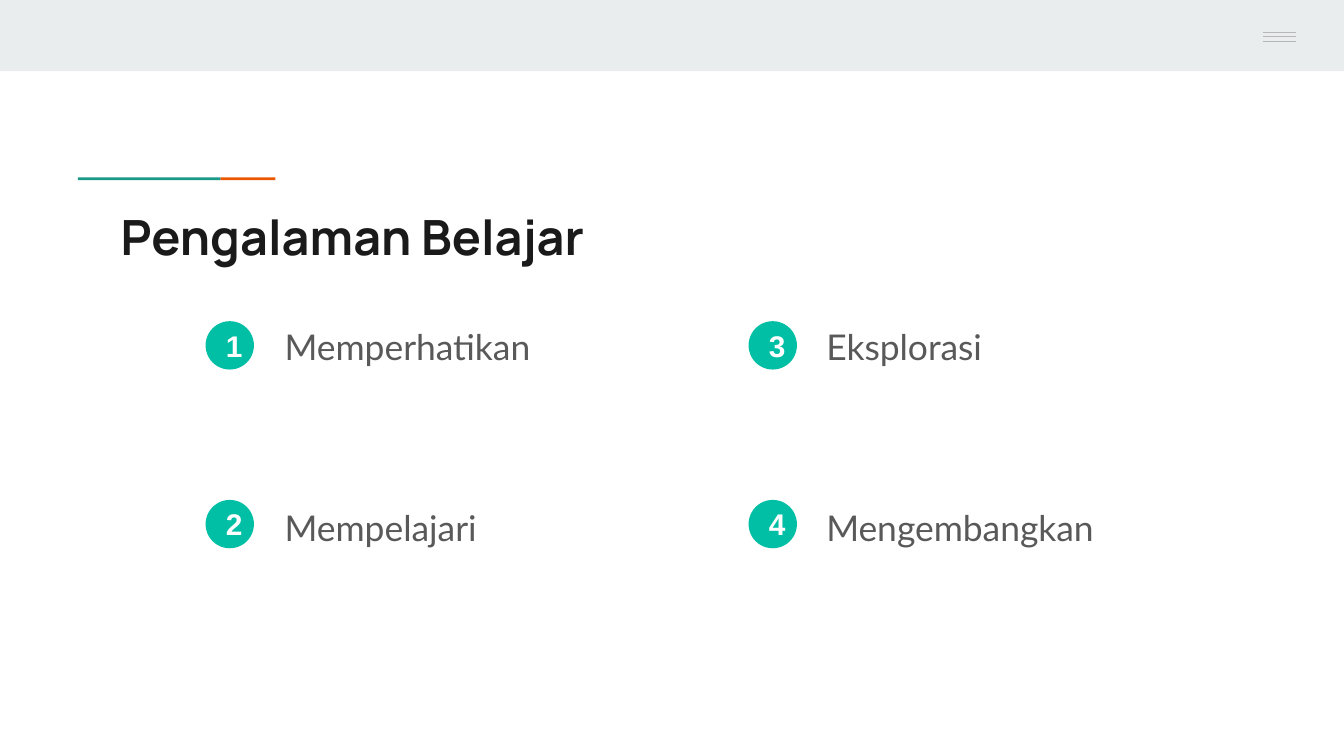
from lxml.etree import SubElement
from pptx import Presentation
from pptx.dml.color import RGBColor
from pptx.enum.shapes import MSO_CONNECTOR, MSO_SHAPE
from pptx.enum.text import MSO_ANCHOR, PP_ALIGN
from pptx.oxml.ns import qn
from pptx.util import Inches, Pt

COLORS = {
    "band": "E9EDEE",
    "menu": "B7B7B7",
    "green": "1A9988",
    "orange": "EB5600",
    "badge": "00BFA5",
    "white": "FFFFFF",
    "title": "1A1A1A",
    "body": "595959",
}
STEPS = ["Memperhatikan", "Mempelajari", "Eksplorasi", "Mengembangkan"]


def rgb(name):
    """Return the named colour."""
    return RGBColor.from_string(COLORS[name])


def add_block(s, kind, box, color):
    """Add a plain filled shape without outline or shadow."""
    sp = s.shapes.add_shape(kind, *map(Inches, box))
    sp.shadow.inherit = False
    sp.fill.solid()
    sp.fill.fore_color.rgb = rgb(color)
    sp.line.fill.background()
    return sp


def add_menu_line(s, y):
    """Add one thin line of the menu icon."""
    line = s.shapes.add_connector(
        MSO_CONNECTOR.STRAIGHT, Inches(9.4), Inches(y), Inches(9.64), Inches(y))
    line.line.color.rgb = rgb("menu")
    line.line.width = Pt(0.75)
    SubElement(line._element.spPr, qn("a:effectLst"))


def write(sp, text, font, size, color, bold=False):
    """Write one styled paragraph into a shape and return it."""
    tf = sp.text_frame
    tf.word_wrap = True
    tf.margin_left = tf.margin_right = Inches(0.1)
    tf.margin_top = tf.margin_bottom = Inches(0.1)
    p = tf.paragraphs[0]
    p.text = text
    p.font.name = font
    p.font.size = Pt(size)
    p.font.bold = bold
    p.font.color.rgb = rgb(color)
    return p


def add_text(s, box, *style):
    """Add a text box and return its paragraph."""
    return write(s.shapes.add_textbox(*map(Inches, box)), *style)


def add_step(s, index, label):
    """Add a numbered badge with its label, filling columns downwards."""
    col, row = divmod(index, 2)
    badge = add_block(s, MSO_SHAPE.OVAL,
                      (1.53 + 4.04 * col, 2.39 + 1.33 * row, 0.36, 0.36), "badge")
    p = write(badge, str(index + 1), "Arial", 16, "white", True)
    p.alignment = PP_ALIGN.CENTER
    badge.text_frame.vertical_anchor = MSO_ANCHOR.MIDDLE
    p = add_text(s, (2.02 + 4.03 * col, 2.27 + 1.35 * row, 3.1, 1.15),
                 label, "Lato", 19, "body")
    p.line_spacing = 1.15
    p.space_after = Pt(16)


def main():
    """Build the slide and save it."""
    prs = Presentation()
    prs.slide_width = Inches(10)
    prs.slide_height = Inches(10) * 9 // 16
    s = prs.slides.add_slide(prs.slide_layouts[6])
    add_block(s, MSO_SHAPE.RECTANGLE, (0, 0, 10, 0.53), "band")
    add_block(s, MSO_SHAPE.RECTANGLE, (1.64, 1.32, 0.41, 0.02), "orange")
    add_block(s, MSO_SHAPE.RECTANGLE, (0.58, 1.32, 1.06, 0.02), "green")
    add_block(s, MSO_SHAPE.RECTANGLE, (9.06, 0, 0.94, 0.5), "band")
    for y in (0.24, 0.27, 0.31):
        add_menu_line(s, y)
    add_text(s, (0.8, 1.44, 8.41, 0.59),
             "Pengalaman Belajar", "Manrope", 26, "title", True)
    for i, label in enumerate(STEPS):
        add_step(s, i, label)
    prs.save("out.pptx")


if __name__ == "__main__":
    main()
